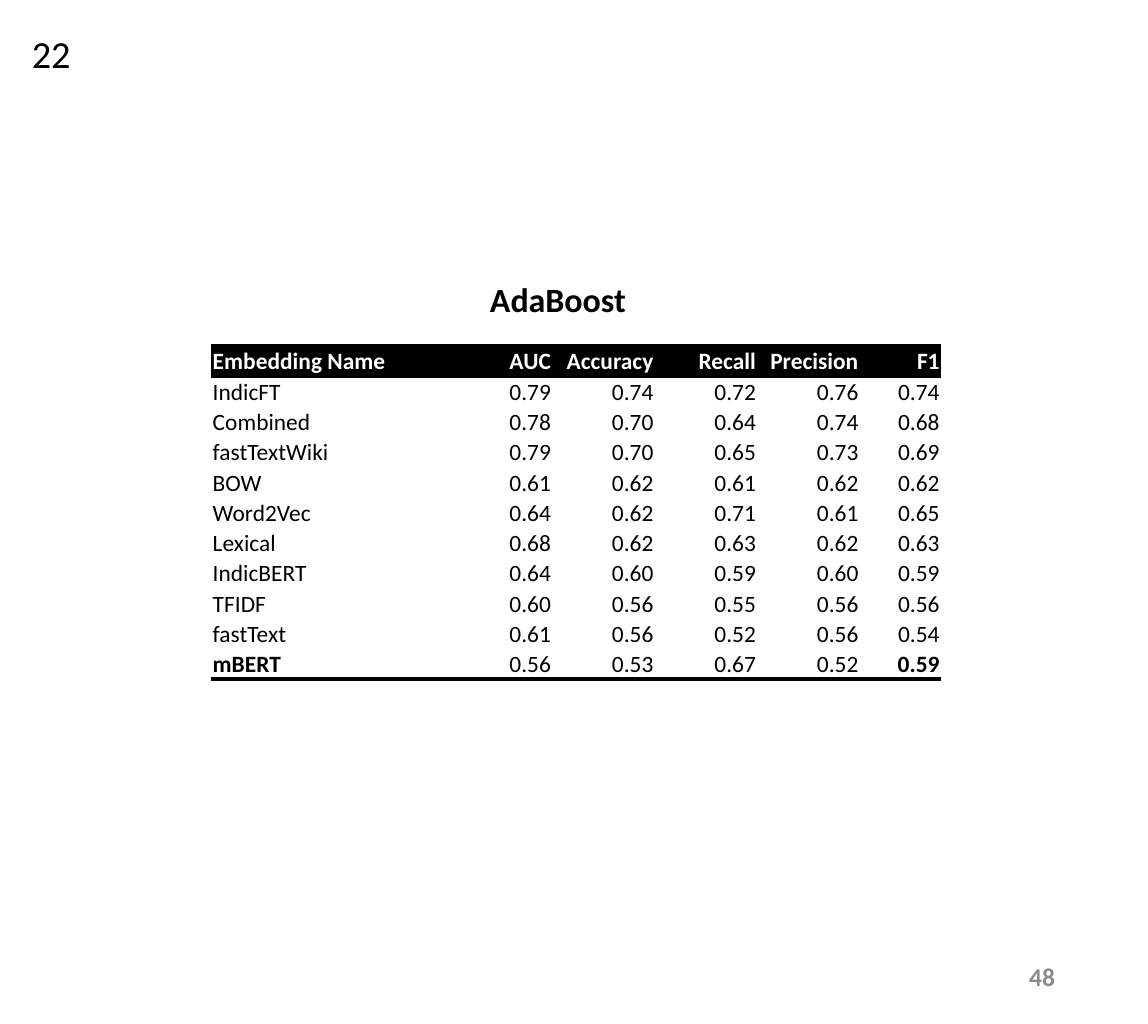
import pptx
import pptx.dml.color
import pptx.enum.text
import pptx.oxml
import pptx.oxml.ns
import pptx.util

Inches = pptx.util.Inches
Pt = pptx.util.Pt
ALIGN = pptx.enum.text.PP_ALIGN
ANCHOR = pptx.enum.text.MSO_ANCHOR

FONT = "Calibri"
COLORS = {"black": "000000", "white": "FFFFFF", "gray": "8C8C8C"}
NO_GRID_STYLE = "{2D5ABB26-0587-4C30-8999-92F81FD0307C}"

COL_WIDTHS = [1.56, 0.67, 0.67, 0.67, 0.67, 0.53]
TABLE_HEIGHT = 2.18
HEADER = ["Embedding Name", "AUC", "Accuracy", "Recall", "Precision", "F1"]
SCORES = [
    ["IndicFT", "0.79", "0.74", "0.72", "0.76", "0.74"],
    ["Combined", "0.78", "0.70", "0.64", "0.74", "0.68"],
    ["fastTextWiki", "0.79", "0.70", "0.65", "0.73", "0.69"],
    ["BOW", "0.61", "0.62", "0.61", "0.62", "0.62"],
    ["Word2Vec", "0.64", "0.62", "0.71", "0.61", "0.65"],
    ["Lexical", "0.68", "0.62", "0.63", "0.62", "0.63"],
    ["IndicBERT", "0.64", "0.60", "0.59", "0.60", "0.59"],
    ["TFIDF", "0.60", "0.56", "0.55", "0.56", "0.56"],
    ["fastText", "0.61", "0.56", "0.52", "0.56", "0.54"],
    ["mBERT", "0.56", "0.53", "0.67", "0.52", "0.59"],
]


def rgb(name):
    return pptx.dml.color.RGBColor.from_string(COLORS[name])


def write(tf, text, size, color, bold=False, align=ALIGN.LEFT):
    p = tf.paragraphs[0]
    p.alignment = align
    r = p.add_run()
    r.text = text
    r.font.name = FONT
    r.font.size = Pt(size)
    r.font.bold = bold
    r.font.color.rgb = rgb(color)


def add_text(slide, box, text, size, color, bold=False, align=ALIGN.LEFT,
             anchor=ANCHOR.TOP, wrap=True):
    sp = slide.shapes.add_textbox(*[Inches(v) for v in box])
    tf = sp.text_frame
    tf.word_wrap = wrap
    tf.vertical_anchor = anchor
    write(tf, text, size, color, bold, align)


def add_border(cell, side):
    """Draw a 2 pt black rule on one side: T or B."""
    ln = pptx.oxml.parse_xml(
        f'<a:ln{side} {pptx.oxml.ns.nsdecls("a")} w="{Pt(2)}"><a:solidFill>'
        f'<a:srgbClr val="{COLORS["black"]}"/></a:solidFill></a:ln{side}>')
    cell._tc.get_or_add_tcPr().append(ln)


def fill_cell(cell, text, fill, color, bold, align, borders):
    cell.margin_left = cell.margin_right = cell.margin_top = Inches(0.01)
    cell.margin_bottom = 0
    cell.vertical_anchor = ANCHOR.BOTTOM
    for side in borders:
        add_border(cell, side)
    cell.fill.solid()
    cell.fill.fore_color.rgb = rgb(fill)
    write(cell.text_frame, text, 11, color, bold, align)


def add_score_table(slide, left, top):
    rows = [HEADER] + SCORES
    last_row, last_col = len(rows) - 1, len(HEADER) - 1
    frame = slide.shapes.add_table(
        len(rows), len(HEADER), Inches(left), Inches(top),
        Inches(sum(COL_WIDTHS)), Inches(TABLE_HEIGHT))
    table = frame.table
    table.first_row = table.horz_banding = False
    table._tbl.tblPr.find(pptx.oxml.ns.qn("a:tableStyleId")).text = NO_GRID_STYLE
    for col, width in zip(table.columns, COL_WIDTHS):
        col.width = Inches(width)
    for i, row in enumerate(rows):
        head = i == 0
        fill, color = ("black", "white") if head else ("white", "black")
        borders = "TB" if head else "B" if i == last_row else ""
        for j, text in enumerate(row):
            bold = head or (i == last_row and j in (0, last_col))
            align = ALIGN.RIGHT if j else ALIGN.LEFT
            fill_cell(table.cell(i, j), text, fill, color, bold, align, borders)


def main():
    prs = pptx.Presentation()
    prs.slide_width = Inches(7.5)
    prs.slide_height = Inches(6.69)
    slide = prs.slides.add_slide(prs.slide_layouts[6])
    add_text(slide, (1.59, 1.77, 4.11, 0.37), "AdaBoost", 16, "black",
             bold=True, align=ALIGN.CENTER)
    add_text(slide, (5.3, 6.2, 1.69, 0.36), "48", 12, "gray",
             bold=True, align=ALIGN.RIGHT, anchor=ANCHOR.MIDDLE)
    add_text(slide, (0.11, 0.15, 0.46, 0.4), "22", 18, "black", wrap=False)
    add_score_table(slide, 1.38, 2.26)
    prs.save("out.pptx")


if __name__ == "__main__":
    main()
